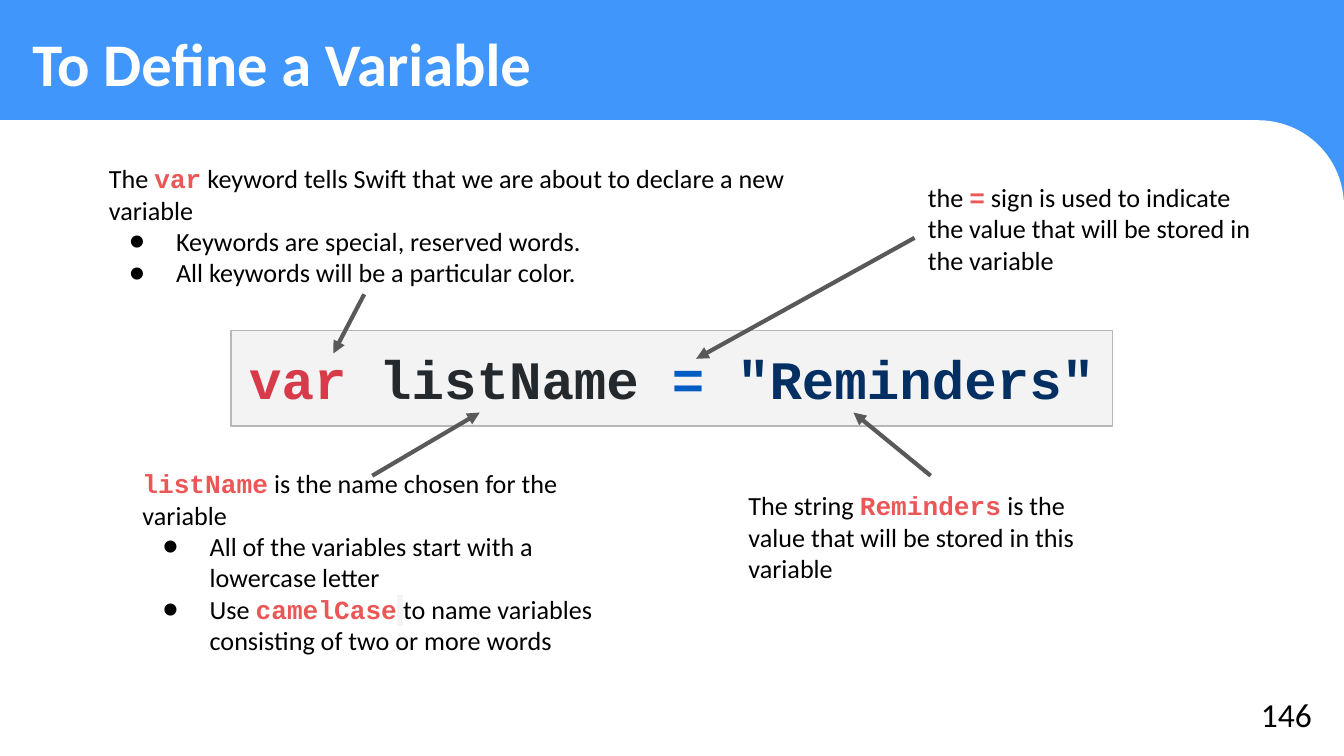
from typing import NamedTuple, Optional

from lxml import etree
from pptx import Presentation
from pptx.dml.color import RGBColor
from pptx.enum import shapes, text
from pptx.oxml.ns import qn
from pptx.util import Pt

PX = 4572
BLUE = RGBColor(0x40, 0x96, 0xFA)
WHITE = RGBColor(0xFF, 0xFF, 0xFF)
BLACK = RGBColor(0x00, 0x00, 0x00)
CORAL = RGBColor(0xEB, 0x57, 0x57)
ARROW_GRAY = RGBColor(0x59, 0x59, 0x59)
CODE_FILL = RGBColor(0xF3, 0xF3, 0xF3)
CODE_EDGE = RGBColor(0xB7, 0xB7, 0xB7)
CODE_RED = RGBColor(0xD7, 0x3A, 0x49)
CODE_DARK = RGBColor(0x24, 0x29, 0x2E)
CODE_BLUE = RGBColor(0x00, 0x5C, 0xC5)
CODE_NAVY = RGBColor(0x03, 0x2F, 0x62)
SPACE_GRAY = RGBColor(0x3C, 0x40, 0x40)
HIGHLIGHT = RGBColor(0xF4, 0xF4, 0xF4)


class Area(NamedTuple):
    left: int
    top: int
    width: int
    height: int

    def emu(self) -> list[int]:
        return [value * PX for value in self]


class Span(NamedTuple):
    words: str
    color: RGBColor = BLACK
    font: str = "Calibri"
    size: float = 14
    bold: bool = False
    highlight: Optional[RGBColor] = None


class Para(NamedTuple):
    spans: list[Span]
    bullet: bool = False


class Note(NamedTuple):
    area: Area
    paras: list[Para]


class Arrow(NamedTuple):
    start: tuple[int, int]
    end: tuple[int, int]


def keyword(words: str) -> Span:
    return Span(words, CORAL, "Courier New", bold=True)


def code(words: str, color: RGBColor) -> Span:
    return Span(words, color, "Courier New", 29, True)


def add_color(parent, tag: str, color: RGBColor):
    holder = etree.SubElement(parent, qn(tag))
    etree.SubElement(holder, qn("a:srgbClr"), val=str(color))
    return holder


def set_bullet(paragraph, shown: bool) -> None:
    properties = paragraph._p.get_or_add_pPr()
    properties.set("marL", str(100 * PX if shown else 0))
    properties.set("indent", str(-70 * PX if shown else 0))
    if shown:
        add_color(properties, "a:buClr", BLACK)
        etree.SubElement(properties, qn("a:buFont"), typeface="Calibri")
        etree.SubElement(properties, qn("a:buChar"), char="●")
    else:
        etree.SubElement(properties, qn("a:buNone"))


def add_span(paragraph, span: Span) -> None:
    run = paragraph.add_run()
    run.text = span.words
    run.font.size = Pt(span.size)
    run.font.bold = span.bold
    run.font.name = span.font
    run.font.color.rgb = span.color
    if span.highlight is not None:
        properties = run.font._element
        mark = add_color(properties, "a:highlight", span.highlight)
        properties.find(qn("a:latin")).addprevious(mark)


def write(box, area: Area, paras: list[Para], align=text.PP_ALIGN.LEFT,
          anchor=text.MSO_ANCHOR.TOP) -> None:
    box.left, box.top, box.width, box.height = area.emu()
    frame = box.text_frame
    frame.word_wrap = True
    frame.auto_size = text.MSO_AUTO_SIZE.NONE
    frame.vertical_anchor = anchor
    frame.margin_left = frame.margin_right = 20 * PX
    frame.margin_top = frame.margin_bottom = 20 * PX
    for index, para in enumerate(paras):
        paragraph = frame.add_paragraph() if index else frame.paragraphs[0]
        set_bullet(paragraph, para.bullet)
        paragraph.alignment = align
        paragraph.space_before = Pt(0)
        for span in para.spans:
            add_span(paragraph, span)


def add_block(page, kind, area: Area, fill: RGBColor):
    block = page.shapes.add_shape(kind, *area.emu())
    block.shadow.inherit = False
    block.fill.solid()
    block.fill.fore_color.rgb = fill
    block.line.fill.background()
    return block


def add_arrow(page, arrow: Arrow) -> None:
    ends = [value * PX for value in arrow.start + arrow.end]
    connector = page.shapes.add_connector(shapes.MSO_CONNECTOR.STRAIGHT, *ends)
    connector.line.color.rgb = ARROW_GRAY
    connector.line.width = Pt(2.25)
    properties = connector._element.spPr
    etree.SubElement(properties.find(qn("a:ln")), qn("a:tailEnd"), type="triangle")
    etree.SubElement(properties, qn("a:effectLst"))


LISTS = [
    Note(Area(142, 222, 1062, 242), [
        Para([Span("The "), keyword("var"),
              Span(" keyword tells Swift that we are about to declare a new variable")]),
        Para([Span("Keywords are special, reserved words.")], True),
        Para([Span("All keywords will be a particular color.")], True),
    ]),
    Note(Area(192, 676, 726, 324), [
        Para([keyword("listName"), Span(" is the name chosen for the variable")]),
        Para([Span("All of the variables start with a lowercase letter")], True),
        Para([Span("Use "), keyword("camelCase"),
              Span(" ", SPACE_GRAY, highlight=HIGHLIGHT),
              Span("to name variables consisting of two or more words")], True),
    ]),
]
NOTES = [
    Note(Area(1361, 250, 522, 208), [
        Para([Span("the "), keyword("="),
              Span(" sign is used to indicate the value that will be stored in the variable")]),
    ]),
    Note(Area(1094, 709, 582, 398), [
        Para([Span("The string "), keyword("Reminders"),
              Span(" is the value that will be stored in this variable")]),
    ]),
]
ARROWS = [
    Arrow((542, 438), (496, 526)),
    Arrow((1361, 354), (1036, 534)),
    Arrow((554, 708), (714, 614)),
    Arrow((1385, 708), (1270, 614)),
]
STATEMENT = Para([
    code("var", CODE_RED),
    code(" listName ", CODE_DARK),
    code("= ", CODE_BLUE),
    code('"Reminders"', CODE_NAVY),
])


def main() -> None:
    deck = Presentation()
    deck.slide_width, deck.slide_height = 2000 * PX, 1125 * PX
    page = deck.slides.add_slide(deck.slide_layouts.get_by_name("Two Content"))
    page.background.fill.solid()
    page.background.fill.fore_color.rgb = BLUE

    panel = add_block(page, shapes.MSO_SHAPE.ROUND_1_RECTANGLE,
                      Area(-6, 179, 2006, 946), WHITE)
    panel.adjustments[0] = 0.135
    page.shapes._spTree.insert(2, panel._element)

    write(page.shapes.title, Area(28, 19, 1930, 150),
          [Para([Span("To Define a Variable", WHITE, size=32.4, bold=True)])])
    for number, note in enumerate(LISTS, start=1):
        write(page.placeholders[number], note.area, note.paras)

    code_area = Area(344, 492, 1312, 142)
    code_box = add_block(page, shapes.MSO_SHAPE.RECTANGLE, code_area, CODE_FILL)
    code_box.line.color.rgb = CODE_EDGE
    code_box.line.width = Pt(0.75)
    write(code_box, code_area, [STATEMENT], text.PP_ALIGN.CENTER, text.MSO_ANCHOR.MIDDLE)

    for arrow in ARROWS:
        add_arrow(page, arrow)
    for note in NOTES:
        write(page.shapes.add_textbox(*note.area.emu()), note.area, note.paras)

    number_area = Area(1818, 1020, 154, 86)
    write(page.shapes.add_textbox(*number_area.emu()), number_area,
          [Para([Span("146", size=18)])], text.PP_ALIGN.RIGHT, text.MSO_ANCHOR.MIDDLE)
    deck.save("out.pptx")


if __name__ == "__main__":
    main()
